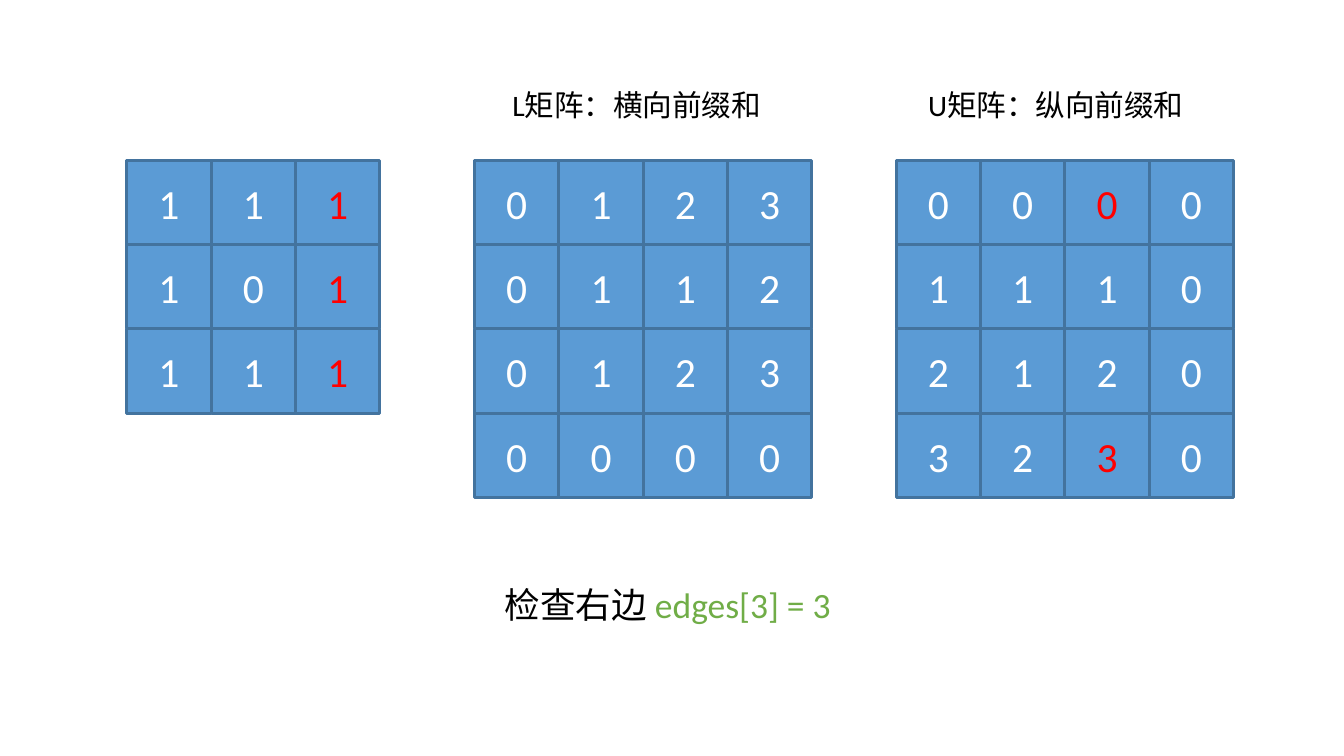
from pptx import Presentation
from pptx import util as u
from pptx.dml.color import RGBColor
from pptx.enum import lang, shapes, text

CELL_FILL = RGBColor(0x5B, 0x9B, 0xD5)
CELL_LINE = RGBColor(0x43, 0x73, 0x9E)
WHITE = RGBColor(0xFF, 0xFF, 0xFF)
RED = RGBColor(0xFF, 0x00, 0x00)
BLACK = RGBColor(0x00, 0x00, 0x00)
GREEN = RGBColor(0x70, 0xAD, 0x47)
FONT = "Calibri"

CELL = u.Pt(28.46)
MATRIX_TOP = u.Cm(1.91)
CAPTION_TOP = u.Cm(0.91)

# Left edge in cm, rows of values, highlighted (row, column) cells
MATRICES = [
    (1.51, ["111", "101", "111"], {(0, 2), (1, 2), (2, 2)}),
    (5.65, ["0123", "0112", "0123", "0000"], set()),
    (10.67, ["0000", "1110", "2120", "3230"], {(0, 2), (3, 2)}),
]
# Left edge and width in cm, wording
CAPTIONS = [
    (5.85, 3.64, "L矩阵：横向前缀和"),
    (10.8, 4.42, "U矩阵：纵向前缀和"),
]


def add_run(paragraph, wording, size, color):
    run = paragraph.add_run()
    run.text = wording
    run.font.name = FONT
    run.font.size = u.Pt(size)
    run.font.color.rgb = color
    return run


def add_matrix(slide, left, top, rows, highlighted):
    """Square cells, one per digit, running right and down from left, top."""
    for r, row in enumerate(rows):
        for c, digit in enumerate(row):
            cell = slide.shapes.add_shape(
                shapes.MSO_SHAPE.RECTANGLE,
                left + c * CELL, top + r * CELL, CELL, CELL)
            cell.shadow.inherit = False
            cell.fill.solid()
            cell.fill.fore_color.rgb = CELL_FILL
            cell.line.color.rgb = CELL_LINE
            cell.line.width = u.Pt(1)
            cell.text_frame.vertical_anchor = text.MSO_ANCHOR.MIDDLE
            value = cell.text_frame.paragraphs[0]
            value.alignment = text.PP_ALIGN.CENTER
            add_run(value, digit, 14, RED if (r, c) in highlighted else WHITE)


def add_label(slide, left, top, width, height, size, parts):
    """One line of text made of (wording, colour) parts."""
    label = slide.shapes.add_textbox(left, top, width, height)
    label.text_frame.word_wrap = True
    label.text_frame.auto_size = text.MSO_AUTO_SIZE.SHAPE_TO_FIT_TEXT
    for wording, color in parts:
        run = add_run(label.text_frame.paragraphs[0], wording, size, color)
        run.font.language_id = lang.MSO_LANGUAGE_ID.SIMPLIFIED_CHINESE


def main():
    deck = Presentation()
    deck.slide_width, deck.slide_height = u.Cm(16), u.Cm(9)
    slide = deck.slides.add_slide(deck.slide_layouts[6])

    # Source matrix and its two prefix sums
    for left, rows, highlighted in MATRICES:
        add_matrix(slide, u.Cm(left), MATRIX_TOP, rows, highlighted)

    # Captions above the prefix sums
    for left, width, wording in CAPTIONS:
        add_label(slide, u.Cm(left), CAPTION_TOP, u.Cm(width),
                  u.Cm(0.68), 10, [(wording, BLACK)])

    # Result of the check
    add_label(slide, u.Cm(5.76), u.Cm(6.82), u.Cm(4.93),
              u.Cm(0.77), 12,
              [("检查右边 ", BLACK), ("edges[3] = 3", GREEN)])

    deck.save("out.pptx")


if __name__ == "__main__":
    main()
